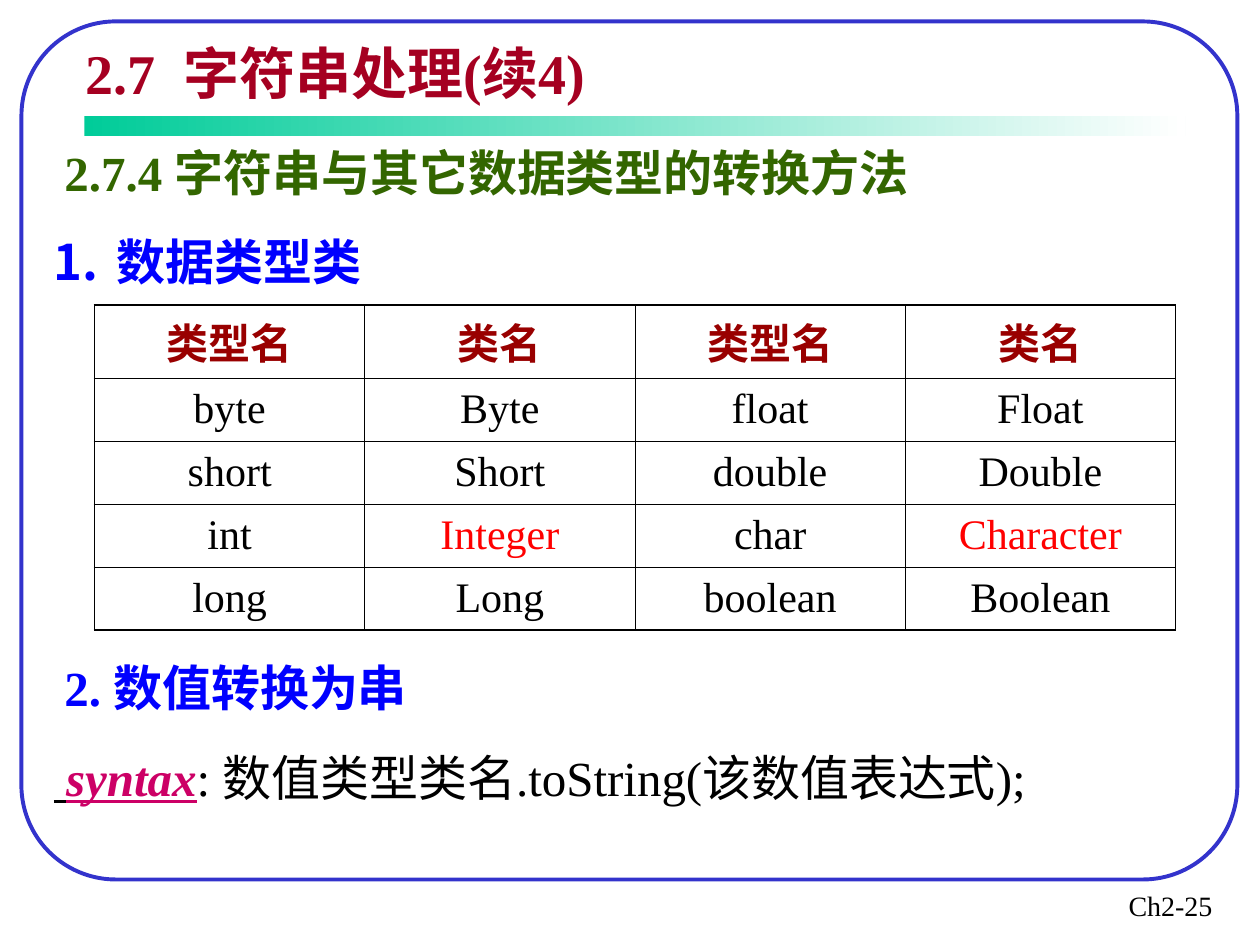
from lxml.etree import SubElement
from pptx import Presentation
from pptx.dml.color import RGBColor
from pptx.enum.shapes import MSO_SHAPE
from pptx.enum.text import MSO_ANCHOR, MSO_AUTO_SIZE, PP_ALIGN
from pptx.oxml.ns import qn
from pptx.util import Inches, Pt

BLACK = RGBColor(0x00, 0x00, 0x00)
WHITE = RGBColor(0xFF, 0xFF, 0xFF)
FRAME_BLUE = RGBColor(0x33, 0x33, 0xCC)
TEAL = RGBColor(0x00, 0xCC, 0x99)
CRIMSON = RGBColor(0xA5, 0x00, 0x21)
GREEN = RGBColor(0x33, 0x66, 0x00)
BLUE = RGBColor(0x00, 0x00, 0xFF)
MAROON = RGBColor(0x99, 0x00, 0x00)
RED = RGBColor(0xFF, 0x00, 0x00)
MAGENTA = RGBColor(0xCC, 0x00, 0x66)

TYPE_ROWS = [
    ["类型名", "类名", "类型名", "类名"],
    ["byte", "Byte", "float", "Float"],
    ["short", "Short", "double", "Double"],
    ["int", "Integer", "char", "Character"],
    ["long", "Long", "boolean", "Boolean"],
]
HIGHLIGHTED = {"Integer", "Character"}


class SlideBuilder:
    """Draws the elements of one slide in a shared style."""

    font_name = "Times New Roman"
    outer_border = 1.08
    inner_border = 0.45

    def __init__(self, slide):
        self.s = slide

    def shape(self, kind, x, y, w, h):
        sp = self.s.shapes.add_shape(kind, Inches(x), Inches(y), Inches(w), Inches(h))
        sp.shadow.inherit = False
        return sp

    def frame(self, x, y, w, h):
        sp = self.shape(MSO_SHAPE.ROUNDED_RECTANGLE, x, y, w, h)
        sp.adjustments[0] = 0.11
        sp.fill.background()
        sp.line.color.rgb = FRAME_BLUE
        sp.line.width = Pt(2.25)

    def fading_bar(self, x, y, w, h):
        sp = self.shape(MSO_SHAPE.RECTANGLE, x, y, w, h)
        sp.fill.gradient()
        sp.fill.gradient_angle = 0
        for stop, color in zip(sp.fill.gradient_stops, (TEAL, WHITE)):
            stop.color.rgb = color
        sp.line.fill.background()

    def run(self, p, text, size, color=BLACK, bold=False, italic=False, underline=False):
        r = p.add_run()
        r.text = text
        font = r.font
        font.name, font.size = self.font_name, Pt(size)
        font.bold, font.italic, font.underline = bold, italic, underline
        font.color.rgb = color

    def text_box(self, x, y, w, h, anchor=MSO_ANCHOR.TOP):
        sp = self.s.shapes.add_textbox(Inches(x), Inches(y), Inches(w), Inches(h))
        tf = sp.text_frame
        tf.word_wrap = True
        tf.auto_size = MSO_AUTO_SIZE.SHAPE_TO_FIT_TEXT
        tf.vertical_anchor = anchor
        return tf

    def hang(self, p):
        pPr = p._p.get_or_add_pPr()
        pPr.set("marL", str(Inches(0.5)))
        pPr.set("indent", str(-Inches(0.5)))
        return pPr

    def number(self, p, color):
        pPr = self.hang(p)
        SubElement(SubElement(pPr, qn("a:buClr")), qn("a:srgbClr"), val=str(color))
        SubElement(pPr, qn("a:buAutoNum"), type="arabicPeriod")

    def section(self, x, y, w, h, heading, color):
        tf = self.text_box(x, y, w, h)
        p = tf.paragraphs[0]
        self.hang(p)
        self.run(p, " ", 24)
        self.run(p, heading, 28, color, bold=True)
        p = tf.add_paragraph()
        self.hang(p)
        p.space_before = Pt(17.5)
        return p

    def borders(self, cell, on_edge):
        tcPr = cell._tc.get_or_add_tcPr()
        for side, outer in on_edge.items():
            width = Pt(self.outer_border if outer else self.inner_border)
            ln = SubElement(tcPr, qn("a:ln" + side), w=str(width))
            SubElement(SubElement(ln, qn("a:solidFill")), qn("a:srgbClr"), val=str(BLACK))

    def table(self, x, y, w, heights, rows):
        last_row, last_col = len(rows) - 1, len(rows[0]) - 1
        table = self.s.shapes.add_table(
            len(rows), len(rows[0]), Inches(x), Inches(y), Inches(w), Inches(sum(heights))
        ).table
        table.first_row = table.horz_banding = False
        for i, (height, texts) in enumerate(zip(heights, rows)):
            table.rows[i].height = Inches(height)
            for j, text in enumerate(texts):
                cell = table.cell(i, j)
                self.borders(cell, {"L": j == 0, "R": j == last_col, "T": i == 0, "B": i == last_row})
                cell.fill.background()
                cell.vertical_anchor = MSO_ANCHOR.MIDDLE
                p = cell.text_frame.paragraphs[0]
                p.alignment = PP_ALIGN.CENTER
                color = MAROON if i == 0 else RED if text in HIGHLIGHTED else BLACK
                self.run(p, text, 24, color, bold=i == 0)


def main():
    prs = Presentation()
    prs.slide_width, prs.slide_height = Inches(10), Inches(7.5)
    b = SlideBuilder(prs.slides.add_slide(prs.slide_layouts[6]))

    b.frame(0.17, 0.17, 9.65, 6.81)
    p = b.text_box(8.58, 7, 1.42, 0.37).paragraphs[0]
    p.alignment = PP_ALIGN.CENTER
    b.run(p, "Ch2-25", 16)

    b.fading_bar(0.67, 0.92, 8.74, 0.16)
    p = b.text_box(0.58, 0.25, 8.17, 0.64, MSO_ANCHOR.MIDDLE).paragraphs[0]
    b.run(p, "2.7  字符串处理(续4)", 32, CRIMSON, bold=True)

    p = b.section(0.33, 1.08, 9.17, 1.28, "2.7.4 字符串与其它数据类型的转换方法", GREEN)
    b.number(p, BLUE)
    b.run(p, "数据类型类", 28, BLUE, bold=True)

    b.table(0.75, 2.42, 8.58, [0.58] + [0.5] * 4, TYPE_ROWS)

    p = b.section(0.33, 5.17, 9.17, 1.28, "2. 数值转换为串", BLUE)
    b.run(p, " ", 28, underline=True)
    b.run(p, "syntax", 28, MAGENTA, bold=True, italic=True, underline=True)
    b.run(p, ": 数值类型类名.toString(该数值表达式);", 28)

    prs.save("out.pptx")


if __name__ == "__main__":
    main()
